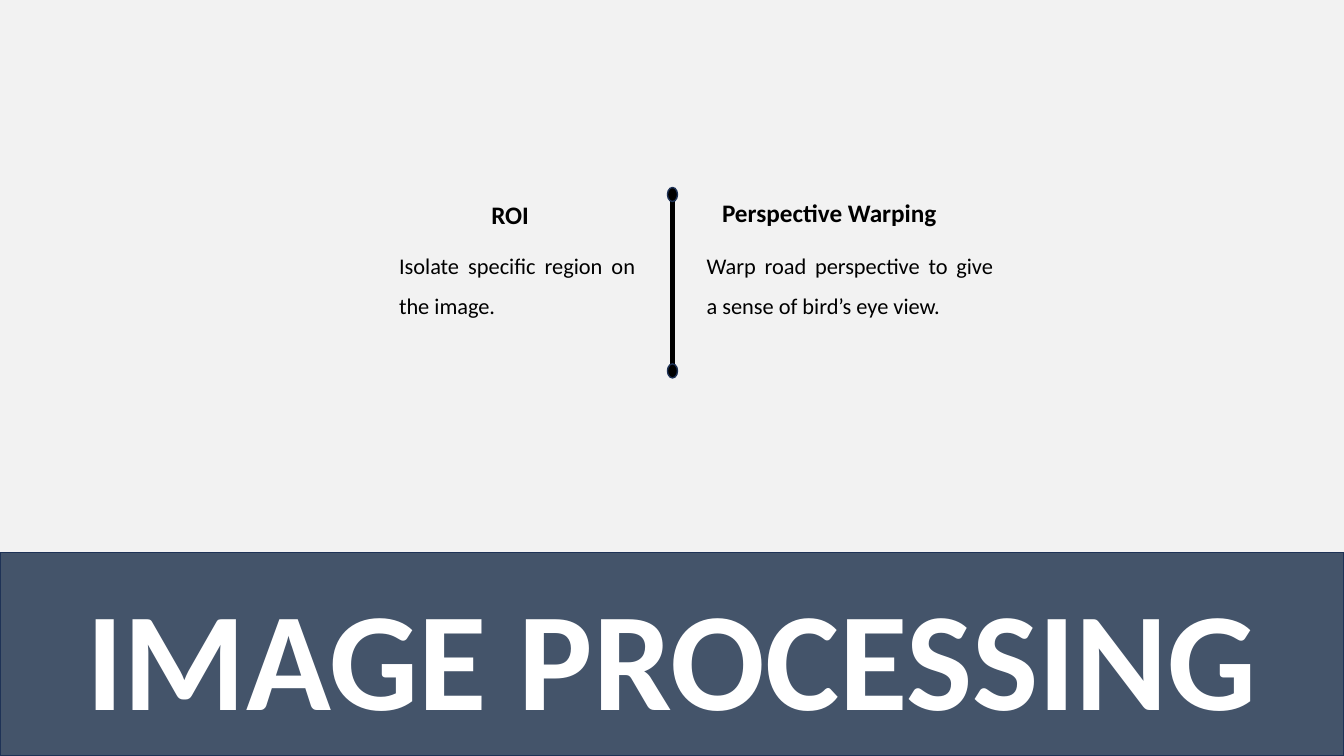
import pptx
import pptx.util
import pptx.dml.color
import pptx.enum.shapes
import pptx.enum.text
import lxml.etree
from pptx.util import Inches

RGBColor = pptx.dml.color.RGBColor
PP_ALIGN = pptx.enum.text.PP_ALIGN
BACKGROUND = RGBColor(0xF2, 0xF2, 0xF2)
BAND = RGBColor(0x44, 0x54, 0x6A)
OUTLINE = RGBColor(0x1E, 0x32, 0x56)
BLACK = RGBColor(0, 0, 0)
WHITE = RGBColor(0xFF, 0xFF, 0xFF)

TITLE = "IMAGE PROCESSING"
STEPS = [
    {"heading": "ROI", "heading_box": (4.13, 1.78, 1.86, 0.51),
     "body": "Isolate specific region on the image.",
     "body_box": (3.86, 2.32, 2.54, 0.87)},
    {"heading": "Perspective Warping", "heading_box": (7.05, 1.76, 2.35, 0.51),
     "body": "Warp road perspective to give a sense of bird’s eye view.",
     "body_box": (6.91, 2.32, 3.04, 0.87)},
]
SLIDE_W, SLIDE_H = 13.33, 7.5
BAND_TOP = 5.48
DIVIDER_X, DIVIDER_TOP, DIVIDER_BOTTOM = 6.67, 1.93, 3.68
DOT_W, DOT_H = 0.1, 0.14


def style(p, size, color, bold, align):
    p.alignment = align
    for r in p.runs:
        r.font.name = "Calibri"
        r.font.size = pptx.util.Pt(size)
        r.font.bold = bold
        r.font.color.rgb = color


def paint(sp, fill):
    sp.fill.solid()
    sp.fill.fore_color.rgb = fill
    sp.line.color.rgb = OUTLINE
    sp.line.width = pptx.util.Pt(1)


def add_text(s, text, box, size, bold, align):
    tf = s.shapes.add_textbox(*map(Inches, box)).text_frame
    tf.word_wrap = True
    tf.auto_size = pptx.enum.text.MSO_AUTO_SIZE.SHAPE_TO_FIT_TEXT
    tf.text = text
    p = tf.paragraphs[0]
    p.line_spacing = 1.5
    style(p, size, BLACK, bold, align)


def add_title(s):
    sp = s.shapes.title
    sp.left, sp.top = Inches(0), Inches(BAND_TOP)
    sp.width, sp.height = Inches(SLIDE_W), Inches(SLIDE_H - BAND_TOP)
    paint(sp, BAND)
    tf = sp.text_frame
    tf.text = TITLE
    tf.word_wrap = True
    tf.auto_size = pptx.enum.text.MSO_AUTO_SIZE.NONE
    tf.vertical_anchor = pptx.enum.text.MSO_ANCHOR.MIDDLE
    style(tf.paragraphs[0], 100, WHITE, True, PP_ALIGN.CENTER)


def add_divider(s):
    x = Inches(DIVIDER_X)
    line = s.shapes.add_connector(
        pptx.enum.shapes.MSO_CONNECTOR.STRAIGHT,
        x, Inches(DIVIDER_TOP), x, Inches(DIVIDER_BOTTOM))
    line.line.color.rgb = BLACK
    line.line.width = pptx.util.Pt(3.25)
    lxml.etree.SubElement(line._element.spPr, pptx.oxml.ns.qn("a:effectLst"))
    for y in (DIVIDER_TOP, DIVIDER_BOTTOM):
        dot = s.shapes.add_shape(
            pptx.enum.shapes.MSO_SHAPE.FLOWCHART_CONNECTOR,
            Inches(DIVIDER_X - DOT_W / 2), Inches(y - DOT_H / 2),
            Inches(DOT_W), Inches(DOT_H))
        dot.shadow.inherit = False
        paint(dot, BLACK)


def main():
    prs = pptx.Presentation()
    prs.slide_width, prs.slide_height = Inches(SLIDE_W), Inches(SLIDE_H)
    s = prs.slides.add_slide(prs.slide_layouts[5])
    s.background.fill.solid()
    s.background.fill.fore_color.rgb = BACKGROUND
    add_title(s)
    for step in STEPS:
        add_text(s, step["heading"], step["heading_box"], 18, True, PP_ALIGN.CENTER)
        add_text(s, step["body"], step["body_box"], 16, False, PP_ALIGN.JUSTIFY)
    add_divider(s)
    prs.save("out.pptx")


if __name__ == "__main__":
    main()
